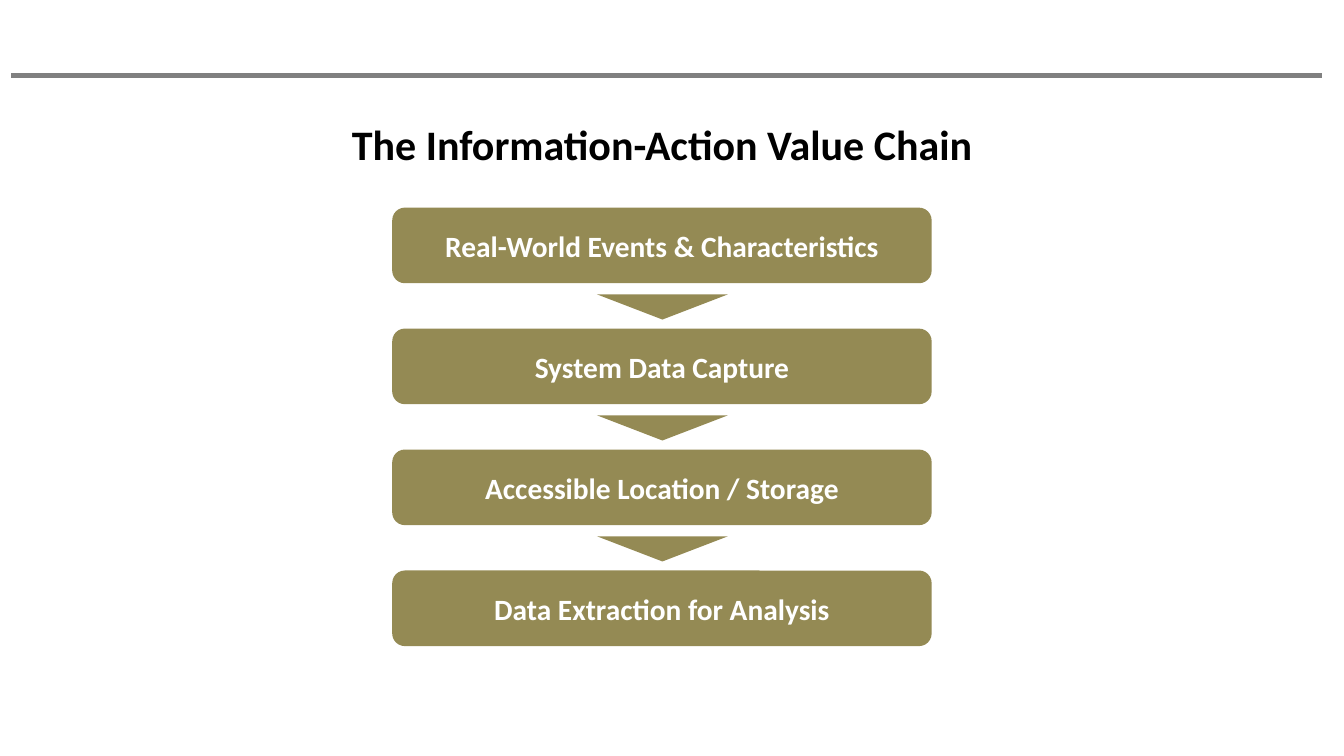
from pptx import Presentation
from pptx.dml.color import RGBColor
from pptx.enum.shapes import MSO_CONNECTOR, MSO_SHAPE
from pptx.enum.text import MSO_ANCHOR, PP_ALIGN
from pptx.oxml.ns import qn
from pptx.util import Inches, Pt
from lxml import etree

ROUNDED = MSO_SHAPE.ROUNDED_RECTANGLE
TRIANGLE = MSO_SHAPE.ISOSCELES_TRIANGLE
STRAIGHT = MSO_CONNECTOR.STRAIGHT
CENTER = PP_ALIGN.CENTER
TOP, MIDDLE = MSO_ANCHOR.TOP, MSO_ANCHOR.MIDDLE

COLORS = {"rule": "808080", "step": "948A54", "title": "000000", "label": "FFFFFF"}
STEPS = [
    "Real-World Events & Characteristics",
    "System Data Capture",
    "Accessible Location / Storage",
    "Data Extraction for Analysis",
]
STEP_TOP, STEP_PITCH = 2.06, 1.2
ARROW_OFFSET = 0.86


def write_text(shape, text, size, color, anchor):
    frame = shape.text_frame
    frame.word_wrap = True
    frame.vertical_anchor = anchor
    paragraph = frame.paragraphs[0]
    paragraph.alignment = CENTER
    run = paragraph.add_run()
    run.text = text
    for name, value in {"name": "Calibri", "size": Pt(size), "bold": True}.items():
        setattr(run.font, name, value)
    run.font.color.rgb = RGBColor.from_string(COLORS[color])


def add_step_shape(kind, left, top, width, height):
    shape = slide.shapes.add_shape(kind, Inches(left), Inches(top), Inches(width), Inches(height))
    shape.shadow.inherit = False
    shape.fill.solid()
    shape.fill.fore_color.rgb = RGBColor.from_string(COLORS["step"])
    shape.line.fill.background()
    return shape


presentation = Presentation()
presentation.slide_width = Inches(13.33)
presentation.slide_height = Inches(7.5)
slide = presentation.slides.add_slide(presentation.slide_layouts[5])

title = slide.shapes.title
title_box = {"left": 2.99, "top": 1.13, "width": 7.16, "height": 0.61}
for name, value in title_box.items():
    setattr(title, name, Inches(value))
write_text(title, "The Information-Action Value Chain", 30, "title", TOP)

rule = slide.shapes.add_connector(STRAIGHT, Inches(0.11), Inches(0.75), Inches(13.11), Inches(0.75))
rule.line.color.rgb = RGBColor.from_string(COLORS["rule"])
rule.line.width = Pt(3)
etree.SubElement(rule.element.spPr, qn("a:effectLst"))

for index, label in enumerate(STEPS):
    top = STEP_TOP + index * STEP_PITCH
    step = add_step_shape(ROUNDED, 3.89, top, 5.35, 0.75)
    write_text(step, label, 21, "label", MIDDLE)
    if index < len(STEPS) - 1:
        arrow = add_step_shape(TRIANGLE, 5.92, top + ARROW_OFFSET, 1.3, 0.25)
        arrow.rotation = 180

presentation.save("out.pptx")
